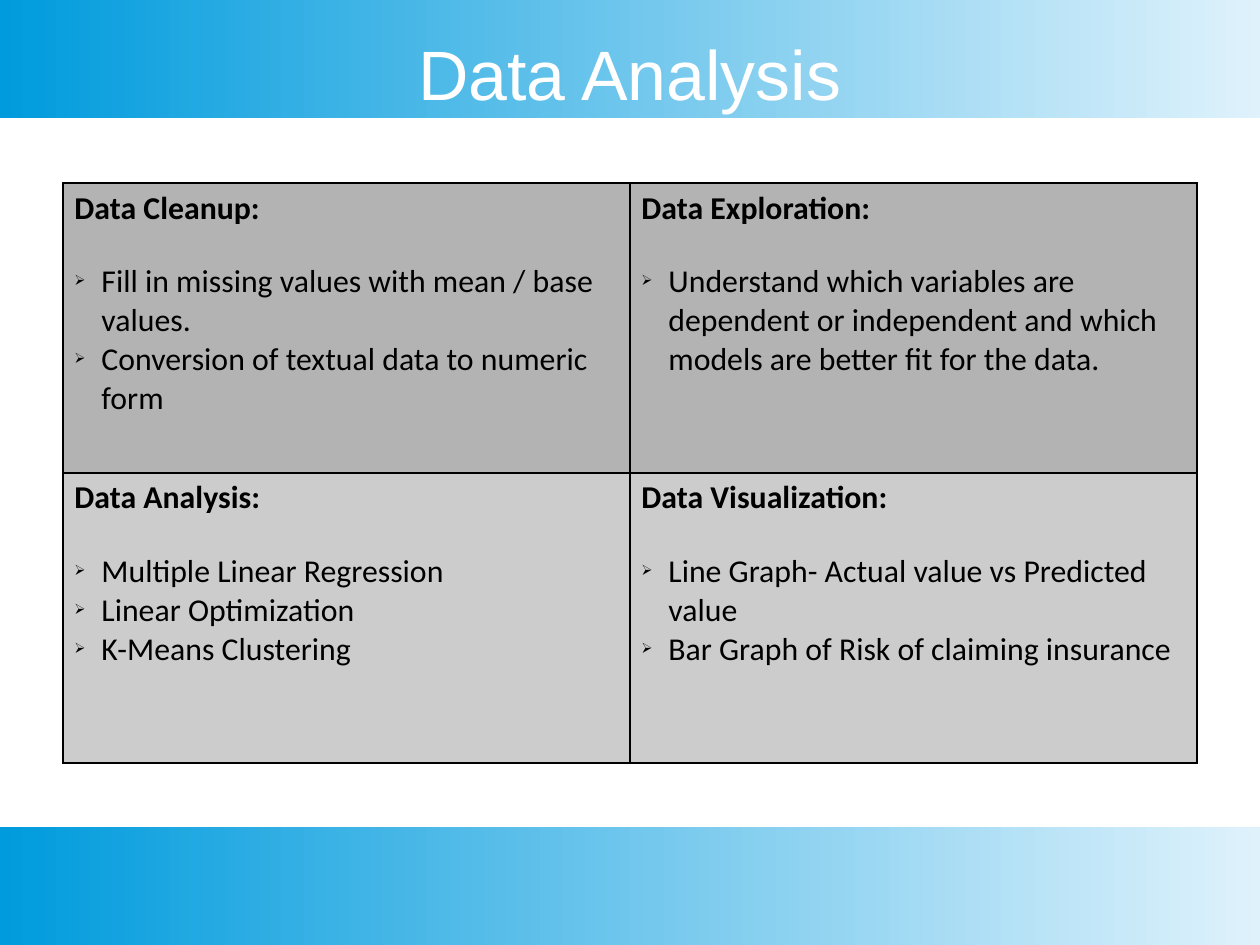
from lxml import etree
from pptx import Presentation
from pptx.dml.color import RGBColor
from pptx.enum.shapes import MSO_SHAPE
from pptx.enum.text import MSO_ANCHOR, MSO_AUTO_SIZE, PP_ALIGN
from pptx.oxml.ns import qn
from pptx.util import Pt

RECTANGLE = MSO_SHAPE.RECTANGLE
MIDDLE = MSO_ANCHOR.MIDDLE
NO_FIT = MSO_AUTO_SIZE.NONE
CENTER = PP_ALIGN.CENTER

EMU_PER_PX = 8000
WIDTH, HEIGHT, BAND = 1260, 945, 118
MARGIN = 63
TABLE_TOP, ROW_HEIGHT = 183, 290
BULLET_INDENT = 27

COLORS = {
    "band_light": "DFF2FC",
    "band_dark": "009BDD",
    "title": "FFFFFF",
    "text": "000000",
    "border": "000000",
    "upper_row": "B3B3B3",
    "lower_row": "CCCCCC",
}

STAGES = [
    [
        ("Data Cleanup:", ["Fill in missing values with mean / base values.",
                           "Conversion of textual data to numeric form"]),
        ("Data Exploration:", ["Understand which variables are dependent or independent "
                               "and which models are better fit for the data."]),
    ],
    [
        ("Data Analysis:", ["Multiple Linear Regression", "Linear Optimization",
                            "K-Means Clustering"]),
        ("Data Visualization:", ["Line Graph- Actual value vs Predicted value",
                                 "Bar Graph of Risk of claiming insurance"]),
    ],
]


def px(length):
    """Turn pixels into EMU."""
    return round(length * EMU_PER_PX)


def rgb(name):
    """Look up a named colour."""
    return RGBColor.from_string(COLORS[name])


def add_run(paragraph, text, font, size, color, bold=False):
    """Add one formatted run to a paragraph."""
    run = paragraph.add_run()
    run.text = text
    run.font.name = font
    run.font.size = Pt(size)
    run.font.bold = bold
    run.font.color.rgb = rgb(color)


def add_band(slide, top):
    """Add a full-width gradient band, darkest at the left."""
    band = slide.shapes.add_shape(RECTANGLE, 0, px(top), px(WIDTH), px(BAND))
    band.shadow.inherit = False
    band.line.fill.background()
    band.fill.gradient()
    band.fill.gradient_angle = 180
    for stop, color in zip(band.fill.gradient_stops, ("band_light", "band_dark")):
        stop.color.rgb = rgb(color)


def set_title(slide, text):
    """Place the title in front of the upper band."""
    title = slide.shapes.title
    title.left, title.top = px(MARGIN), px(38)
    title.width, title.height = px(WIDTH - 2 * MARGIN), px(80)
    frame = title.text_frame
    frame.word_wrap = True
    frame.auto_size = NO_FIT
    frame.vertical_anchor = MIDDLE
    frame.margin_left = frame.margin_right = frame.margin_top = frame.margin_bottom = 0
    heading = frame.paragraphs[0]
    heading.alignment = CENTER
    heading.line_spacing = 0.9
    add_run(heading, text, "Arial", 44, "title")
    slide.shapes.element.append(title.element)


def add_fill_xml(parent, tag, color):
    """Add a child that holds a plain colour."""
    holder = etree.SubElement(parent, qn(tag))
    etree.SubElement(holder, qn("a:srgbClr"), val=COLORS[color])


def set_bullet(paragraph):
    """Give a paragraph a small arrowhead bullet and a hanging indent."""
    properties = paragraph._p.get_or_add_pPr()
    properties.set("marL", str(px(BULLET_INDENT)))
    properties.set("indent", str(-px(BULLET_INDENT)))
    add_fill_xml(properties, "a:buClr", "text")
    etree.SubElement(properties, qn("a:buSzPct"), val="45000")
    etree.SubElement(properties, qn("a:buChar"), char="➢")


def set_borders(cell):
    """Draw a thin line on every side of a cell."""
    properties = cell._tc.get_or_add_tcPr()
    for side in ("a:lnL", "a:lnR", "a:lnT", "a:lnB"):
        line = etree.SubElement(properties, qn(side), w=str(Pt(1)))
        add_fill_xml(line, "a:solidFill", "border")


def fill_stage(cell, heading, points, color):
    """Write one stage: a bold heading and its bulleted points."""
    set_borders(cell)
    cell.fill.solid()
    cell.fill.fore_color.rgb = rgb(color)
    first = cell.text_frame.paragraphs[0]
    first.space_after = Pt(22)
    add_run(first, heading, "Calibri", 20, "text", bold=True)
    for point in points:
        paragraph = cell.text_frame.add_paragraph()
        set_bullet(paragraph)
        add_run(paragraph, point, "Calibri", 20, "text")


def add_stage_table(slide):
    """Add the two-by-two table of analysis stages."""
    table = slide.shapes.add_table(
        len(STAGES), len(STAGES[0]), px(MARGIN), px(TABLE_TOP),
        px(WIDTH - 2 * MARGIN), px(ROW_HEIGHT * len(STAGES))).table
    table.first_row = table.horz_banding = False
    for row, (stages, color) in enumerate(zip(STAGES, ("upper_row", "lower_row"))):
        for column, (heading, points) in enumerate(stages):
            fill_stage(table.cell(row, column), heading, points, color)


def main():
    """Build the slide and save it."""
    deck = Presentation()
    deck.slide_width, deck.slide_height = px(WIDTH), px(HEIGHT)
    slide = deck.slides.add_slide(deck.slide_layouts[5])
    for top in (0, HEIGHT - BAND):
        add_band(slide, top)
    set_title(slide, "Data Analysis")
    add_stage_table(slide)
    deck.save("out.pptx")


main()
